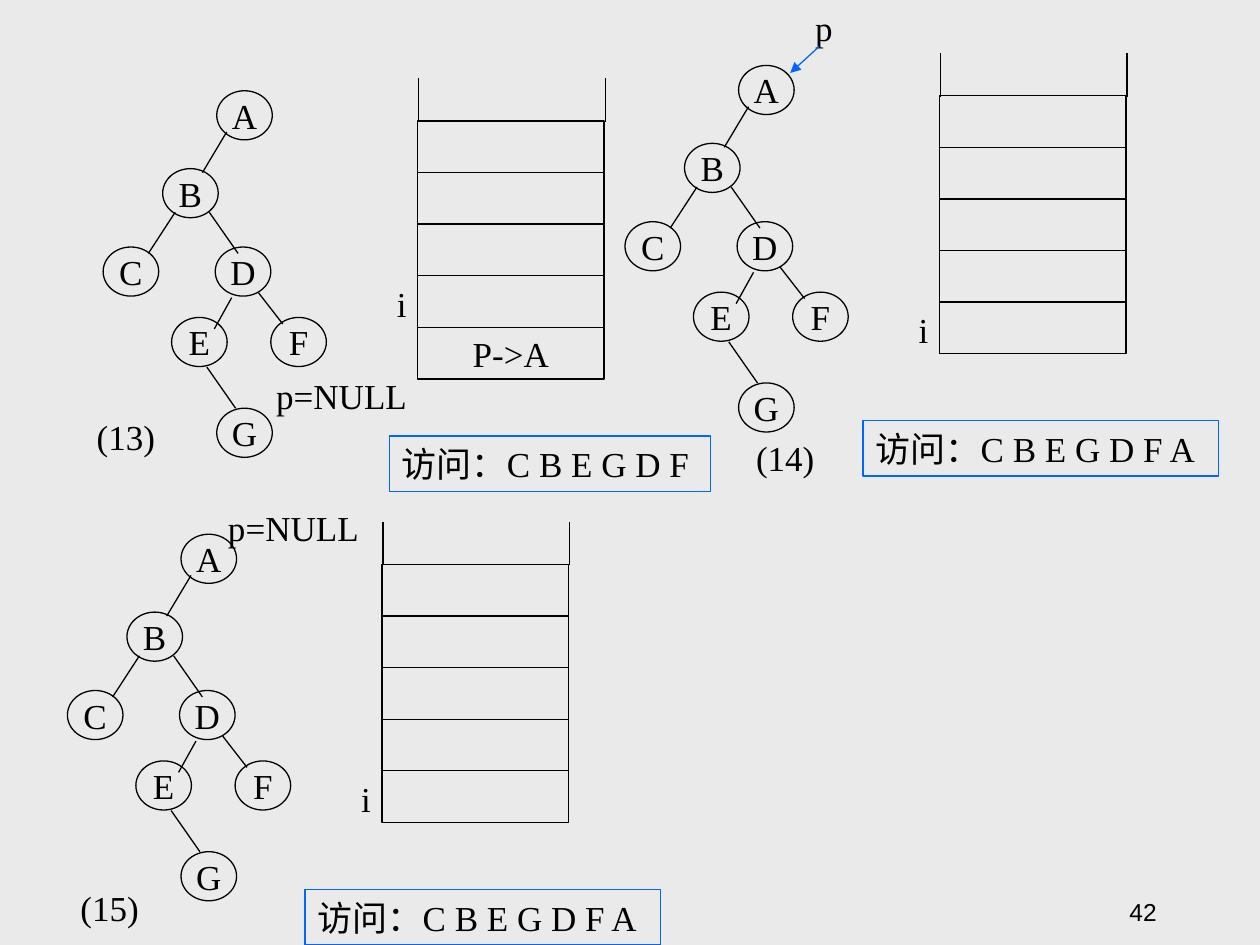
from dataclasses import dataclass

import pptx
import pptx.dml.color
import pptx.enum.shapes
import pptx.enum.text
import pptx.oxml
import pptx.oxml.ns
import pptx.util

Cm = pptx.util.Cm
RGB = pptx.dml.color.RGBColor
Shape = pptx.enum.shapes.MSO_SHAPE
Align = pptx.enum.text.PP_ALIGN
Anchor = pptx.enum.text.MSO_ANCHOR


@dataclass(frozen=True)
class Theme:
    background: RGB = RGB(0xEA, 0xEA, 0xEA)
    ink: RGB = RGB(0, 0, 0)
    accent: RGB = RGB(0x00, 0x66, 0xFF)
    serif: str = "Times New Roman"
    sans: str = "Arial"
    text_size: int = 20
    number_size: int = 14
    line_width: float = 0.75


theme = Theme()

# Tree nodes and edges, in cm from the top left of root A
NODE_WIDTH, NODE_HEIGHT = 1.12, 0.99
NODES = {
    "A": (0, 0), "B": (-1.09, 1.57), "C": (-2.29, 3.15), "D": (-0.03, 3.15),
    "E": (-0.91, 4.57), "F": (1.09, 4.57), "G": (0, 6.4),
}
EDGES = [
    (0.2, 0.83, -0.29, 1.65),
    (-0.84, 2.45, -1.38, 3.28),
    (-0.15, 2.45, 0.43, 3.28),
    (0.3, 4.17, -0.05, 4.8),
    (0.84, 4.07, 1.33, 4.7),
    (-0.2, 5.57, 0.38, 6.4),
]

STACK_OFFSET = (4.05, 0.61)
CELL_WIDTH, CELL_HEIGHT, CELL_COUNT = 3.76, 1.04, 5
WALL_HEIGHT = 0.86
LABEL_HEIGHT = 1.12

# Label places are (left, top, width) in cm
PANELS = [
    dict(root=(4.37, 1.83), stack=["P->A"], visited="访问：C B E G D F",
         visited_at=(7.85, 8.79, 6.48), pointer="p=NULL", pointer_at=(5.31, 7.42, 3.15),
         step="(13)", step_at=(1.7, 8.23, 1.68), arrow=None),
    dict(root=(14.89, 1.32), stack=[], visited="访问：C B E G D F A",
         visited_at=(17.4, 8.48, 7.16), pointer="p", pointer_at=(16.18, 0, 0.86),
         step="(14)", step_at=(14.99, 8.66, 1.68), arrow=(16.51, 0.94, 15.93, 1.47)),
    dict(root=(3.65, 10.77), stack=[], visited="访问：C B E G D F A",
         visited_at=(6.15, 17.93, 7.16), pointer="p=NULL", pointer_at=(4.34, 10.08, 3.15),
         step="(15)", step_at=(1.37, 17.73, 1.68), arrow=None),
]


def add_box(shapes, left, top, width, height, text="", outline=None, kind=Shape.RECTANGLE,
            align=Align.CENTER):
    """Add an unfilled outlined shape, or a text box when there is no outline."""
    place = Cm(left), Cm(top), Cm(width), Cm(height)
    if outline is None:
        shape = shapes.add_textbox(*place)
    else:
        shape = shapes.add_shape(kind, *place)
        shape.shadow.inherit = False
        shape.fill.background()
        shape.line.color.rgb = outline
        shape.line.width = pptx.util.Pt(theme.line_width)
    if text:
        shape.text_frame.word_wrap = False
        shape.text_frame.vertical_anchor = Anchor.MIDDLE
        paragraph = shape.text_frame.paragraphs[0]
        paragraph.alignment = align
        run = paragraph.add_run()
        run.text = text
        run.font.name = theme.serif
        run.font.size = pptx.util.Pt(theme.text_size)
        run.font.color.rgb = theme.ink
    return shape


def add_line(shapes, x1, y1, x2, y2, color=theme.ink):
    line = shapes.add_connector(pptx.enum.shapes.MSO_CONNECTOR.STRAIGHT,
                                Cm(x1), Cm(y1), Cm(x2), Cm(y2))
    line.line.color.rgb = color
    line.line.width = pptx.util.Pt(theme.line_width)
    properties = line._element.spPr
    properties.append(pptx.oxml.parse_xml(
        f"<a:effectLst {pptx.oxml.ns.nsdecls('a')}/>"))
    return line


presentation = pptx.Presentation()
presentation.slide_width = Cm(25.4)
presentation.slide_height = Cm(19.05)
slide = presentation.slides.add_slide(presentation.slide_layouts[6])
slide.background.fill.solid()
slide.background.fill.fore_color.rgb = theme.background

for panel in PANELS:
    shapes = slide.shapes.add_group_shape().shapes
    root_x, root_y = panel["root"]

    for name, (x, y) in NODES.items():
        add_box(shapes, root_x + x, root_y + y, NODE_WIDTH, NODE_HEIGHT, name,
                theme.ink, Shape.OVAL)
    for x1, y1, x2, y2 in EDGES:
        add_line(shapes, root_x + x1, root_y + y1, root_x + x2, root_y + y2)

    # The stack grows upward; i marks the first free cell
    stack_x, stack_y = root_x + STACK_OFFSET[0], root_y + STACK_OFFSET[1]
    free_row = CELL_COUNT - 1 - len(panel["stack"])
    add_box(shapes, stack_x - 0.67, stack_y + free_row * CELL_HEIGHT, 0.69, LABEL_HEIGHT, "i")
    for level in range(CELL_COUNT):
        content = panel["stack"][level] if level < len(panel["stack"]) else ""
        add_box(shapes, stack_x, stack_y + (CELL_COUNT - 1 - level) * CELL_HEIGHT,
                CELL_WIDTH, CELL_HEIGHT, content, theme.ink)
    for wall_x in (stack_x + 0.02, stack_x + CELL_WIDTH + 0.02):
        add_line(shapes, wall_x, stack_y - WALL_HEIGHT, wall_x, stack_y + 0.02)

    add_box(shapes, *panel["visited_at"], LABEL_HEIGHT, panel["visited"], theme.accent,
            align=Align.LEFT)
    add_box(shapes, *panel["pointer_at"], LABEL_HEIGHT, panel["pointer"])
    if panel["arrow"]:
        arrow = add_line(shapes, *panel["arrow"], theme.accent)
        arrow.line._get_or_add_ln().append(pptx.oxml.parse_xml(
            f"<a:tailEnd {pptx.oxml.ns.nsdecls('a')} type='triangle'/>"))
    add_box(shapes, *panel["step_at"], LABEL_HEIGHT, panel["step"])

page_number = add_box(slide.shapes, 18.29, 17.53, 5.28, 1.27, "42", align=Align.RIGHT)
page_number.text_frame.word_wrap = True
page_number.text_frame.vertical_anchor = Anchor.BOTTOM
number_font = page_number.text_frame.paragraphs[0].runs[0].font
number_font.name = theme.sans
number_font.size = pptx.util.Pt(theme.number_size)

presentation.save("out.pptx")
